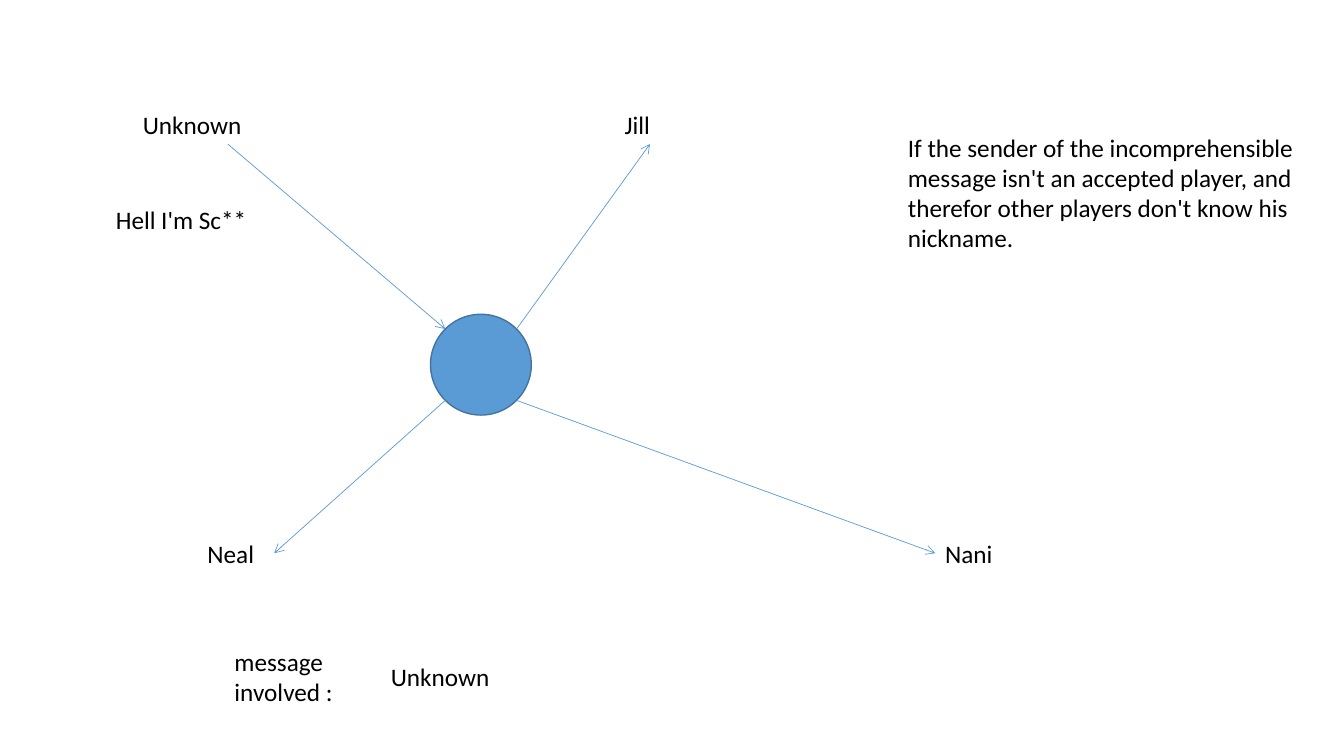
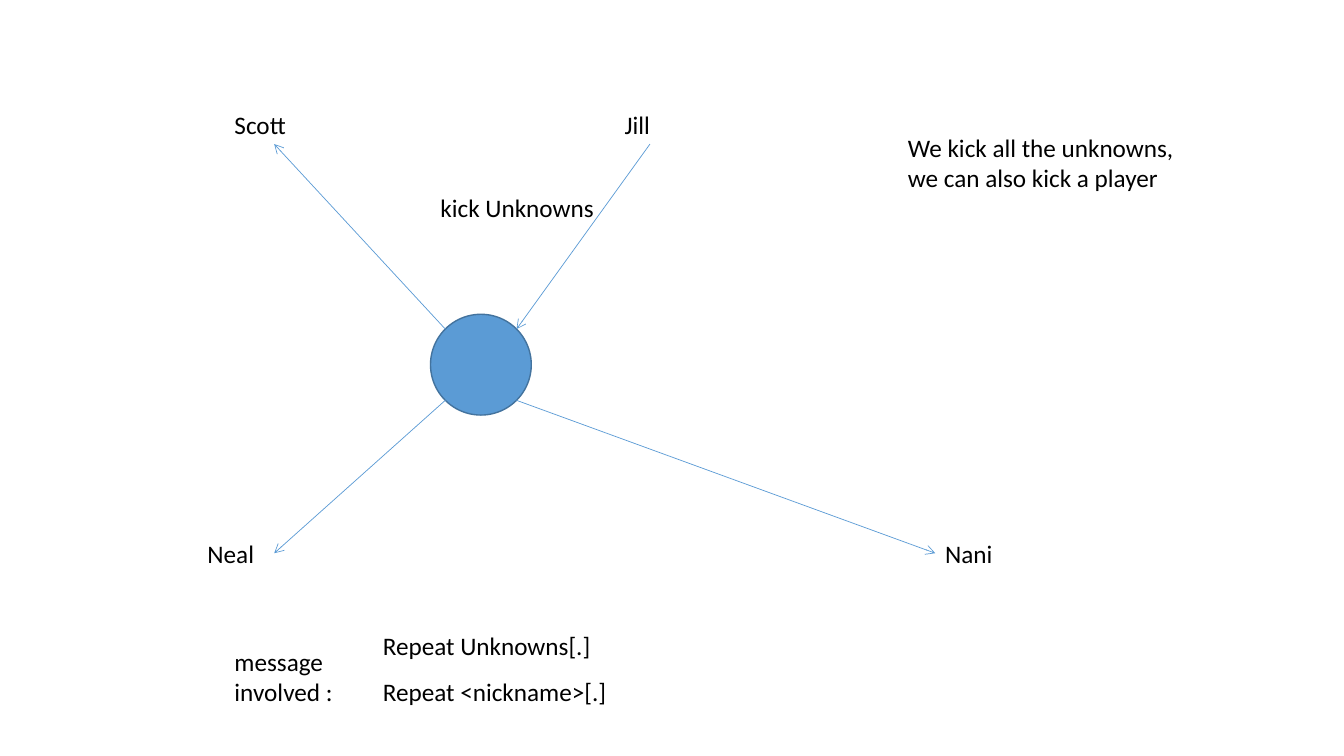
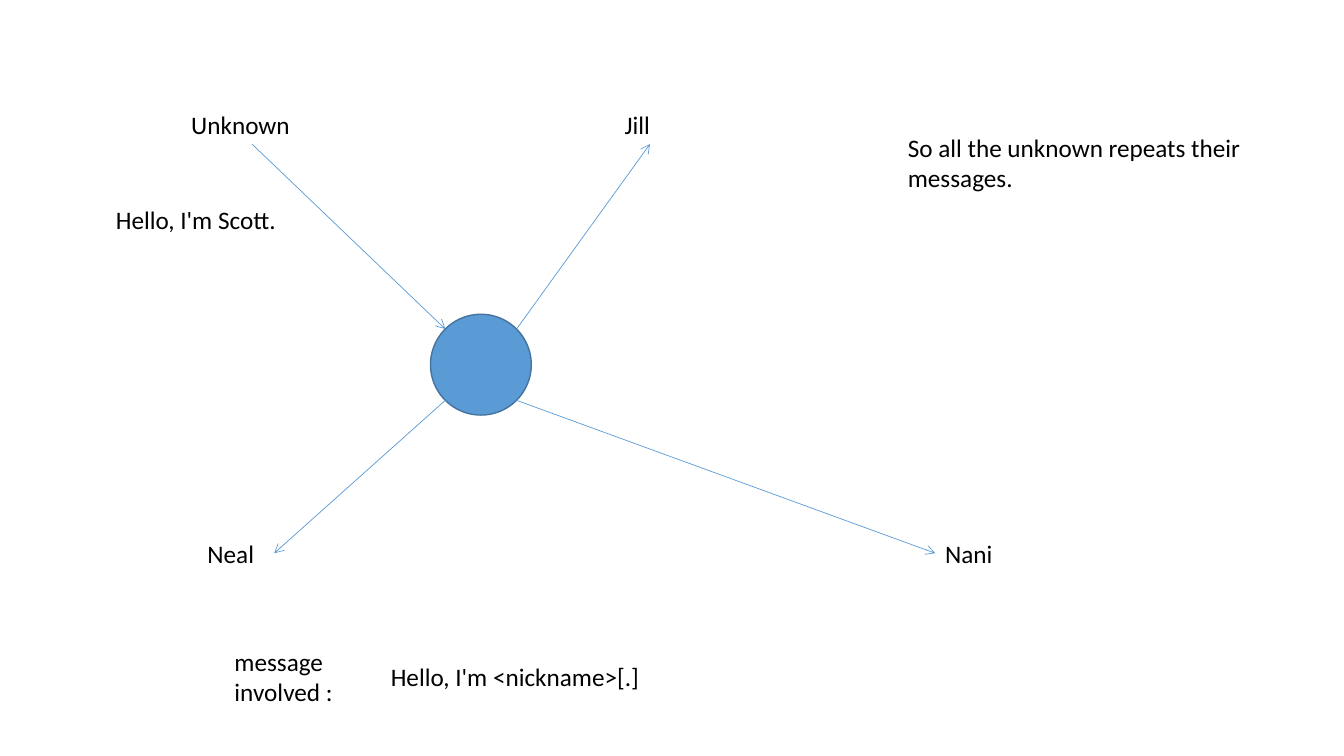
from dataclasses import dataclass
from math import sqrt

from lxml import etree
from pptx import Presentation
from pptx.dml.color import RGBColor
from pptx.enum.shapes import MSO_CONNECTOR, MSO_SHAPE
from pptx.enum.text import MSO_AUTO_SIZE
from pptx.oxml.ns import qn
from pptx.util import Cm, Pt

STRAIGHT = MSO_CONNECTOR.STRAIGHT
OVAL = MSO_SHAPE.OVAL
GROW = MSO_AUTO_SIZE.SHAPE_TO_FIT_TEXT
BLANK = 6


@dataclass(frozen=True)
class Theme:
    """Colours, font and sizes of the deck."""
    blue: RGBColor = RGBColor(0x5B, 0x9B, 0xD5)
    rim: RGBColor = RGBColor(0x43, 0x73, 0x9E)
    ink: RGBColor = RGBColor(0, 0, 0)
    font: str = "Calibri"
    size: int = 18
    thin: float = 0.5
    edge: float = 1


class Deck:
    """Holds the style and the current slide."""

    def __init__(self, theme):
        """Start an empty wide deck."""
        self.theme = theme
        self.file = Presentation()
        self.file.slide_width = Cm(33.87)
        self.file.slide_height = Cm(19.05)
        self.slide = None

    def page(self):
        """Add a blank slide and make it current."""
        self.slide = self.file.slides.add_slide(self.file.slide_layouts[BLANK])

    def text(self, left, top, width, *lines, rows=None):
        """Write one paragraph per line in a box as high as its rows."""
        height = 0.25 + 0.77 * (rows or len(lines))
        box = self.slide.shapes.add_textbox(Cm(left), Cm(top), Cm(width), Cm(height))
        frame = box.text_frame
        frame.word_wrap = True
        frame.auto_size = GROW
        for row, line in enumerate(lines):
            para = frame.add_paragraph() if row else frame.paragraphs[0]
            run = para.add_run()
            run.text = line
            run.font.name = self.theme.font
            run.font.size = Pt(self.theme.size)
            run.font.color.rgb = self.theme.ink

    def disc(self, mid, radius):
        """Draw a filled circle around a centre."""
        left, top = (Cm(place - radius) for place in mid)
        shape = self.slide.shapes.add_shape(OVAL, left, top, Cm(2 * radius), Cm(2 * radius))
        shape.shadow.inherit = False
        shape.fill.solid()
        shape.fill.fore_color.rgb = self.theme.blue
        shape.line.color.rgb = self.theme.rim
        shape.line.width = Pt(self.theme.edge)

    def arrow(self, start, end):
        """Draw a thin line with an open arrowhead at its end."""
        ends = [Cm(place) for place in (*start, *end)]
        link = self.slide.shapes.add_connector(STRAIGHT, *ends)
        link.line.color.rgb = self.theme.blue
        link.line.width = Pt(self.theme.thin)
        props = link._element.spPr
        etree.SubElement(props.find(qn("a:ln")), qn("a:tailEnd"), type="arrow")
        etree.SubElement(props, qn("a:effectLst"))


HUB = (12.12, 9.19)
RADIUS = 1.27
JILL = (16.38, 3.63)
NEAL = (6.91, 13.94)
NANI = (23.57, 13.94)
NAME_TOP = 2.62


def rim(across, down):
    """Give the diagonal point of the hub on the side of the two signs."""
    step = RADIUS / sqrt(2)
    return HUB[0] + across * step, HUB[1] + down * step


def scene(deck, name, foot, note, rows, kick=False):
    """Draw the hub with its four players; name is left, width and text."""
    deck.page()
    left, width, who = name
    deck.text(left, NAME_TOP, width, who)
    deck.text(15.49, NAME_TOP, 1.75, "Jill")
    deck.text(4.98, 13.44, 1.9, "Neal")
    deck.text(23.57, 13.44, 3.12, "Nani")
    deck.text(22.63, 3.2, 10.31, *note, rows=rows)
    deck.text(5.66, 16.15, 4.34, "message", "involved :")
    deck.disc(HUB, RADIUS)
    deck.arrow(rim(-1, 1), NEAL)
    deck.arrow(rim(1, 1), NANI)
    first = ((foot, JILL[1]), rim(-1, -1))
    jill = (rim(1, -1), JILL)
    for start, end in (first, jill):
        if kick:
            start, end = end, start
        deck.arrow(start, end)


def stray(deck):
    """Show an unknown sender whose message is garbled."""
    note = ("If the sender of the incomprehensible message isn't an accepted "
            "player, and therefor other players don't know his nickname.")
    scene(deck, (3.35, 4.78, "Unknown"), 5.74, [note], 5)
    deck.text(2.67, 5.03, 5.69, "Hell I'm Sc**")
    deck.text(9.6, 16.54, 8.81, "Unknown")


def kick(deck):
    """Show a player who kicks the unknowns."""
    note = ["We kick all the unknowns,", "we can also kick a player"]
    scene(deck, (5.66, 2.46, "Scott"), 6.91, note, 2, kick=True)
    deck.text(10.85, 4.72, 7.39, "kick Unknowns")
    for row, word in enumerate(("Unknowns", "<nickname>")):
        deck.text(9.4, 15.77 + 1.15 * row, 8.81, f"Repeat {word}[.]")


def again(deck):
    """Show an unknown sender who repeats the message."""
    note = "So all the unknown repeats their messages."
    scene(deck, (4.57, 3.58, "Unknown"), 6.35, [note], 2)
    deck.text(2.67, 5.03, 5.69, "Hello, I'm Scott.")
    deck.text(9.6, 16.54, 8.81, "Hello, I'm <nickname>[.]")


def main():
    """Build the three slides and save them."""
    deck = Deck(Theme())
    for draw in (stray, kick, again):
        draw(deck)
    deck.file.save("out.pptx")


main()
